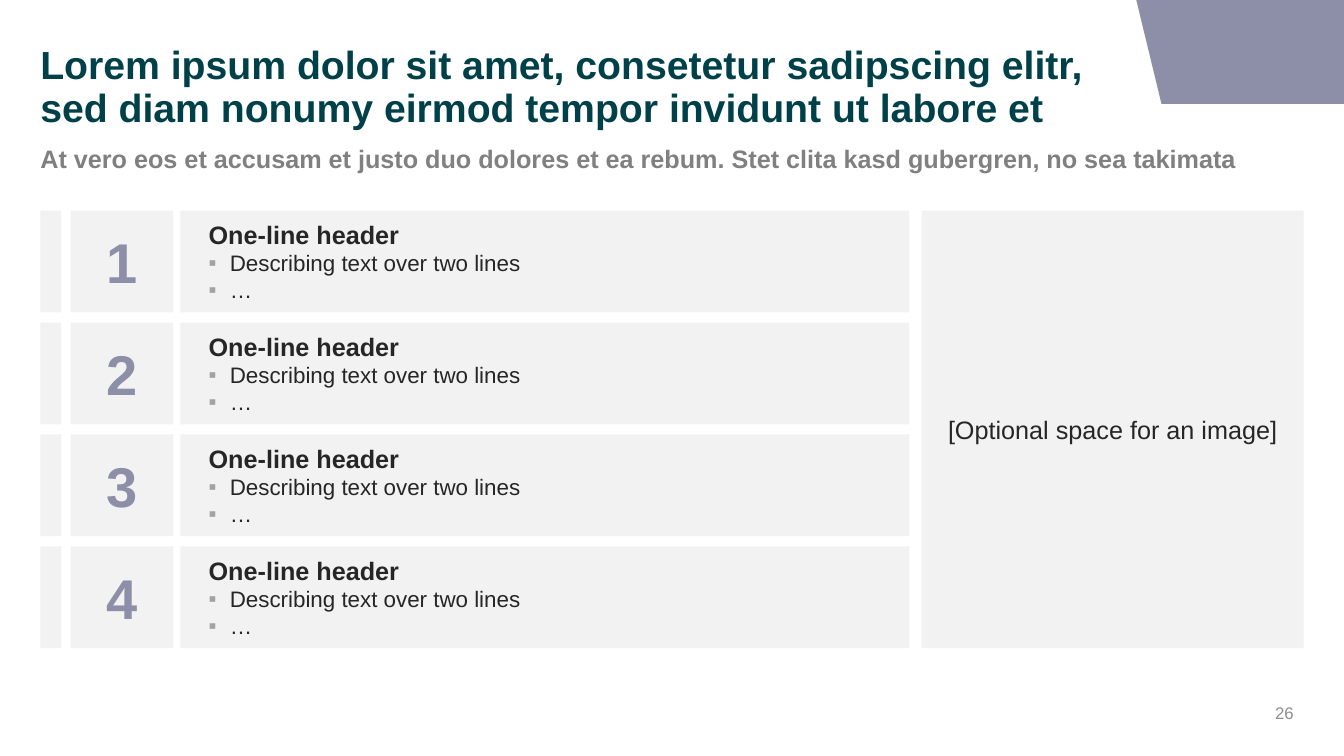
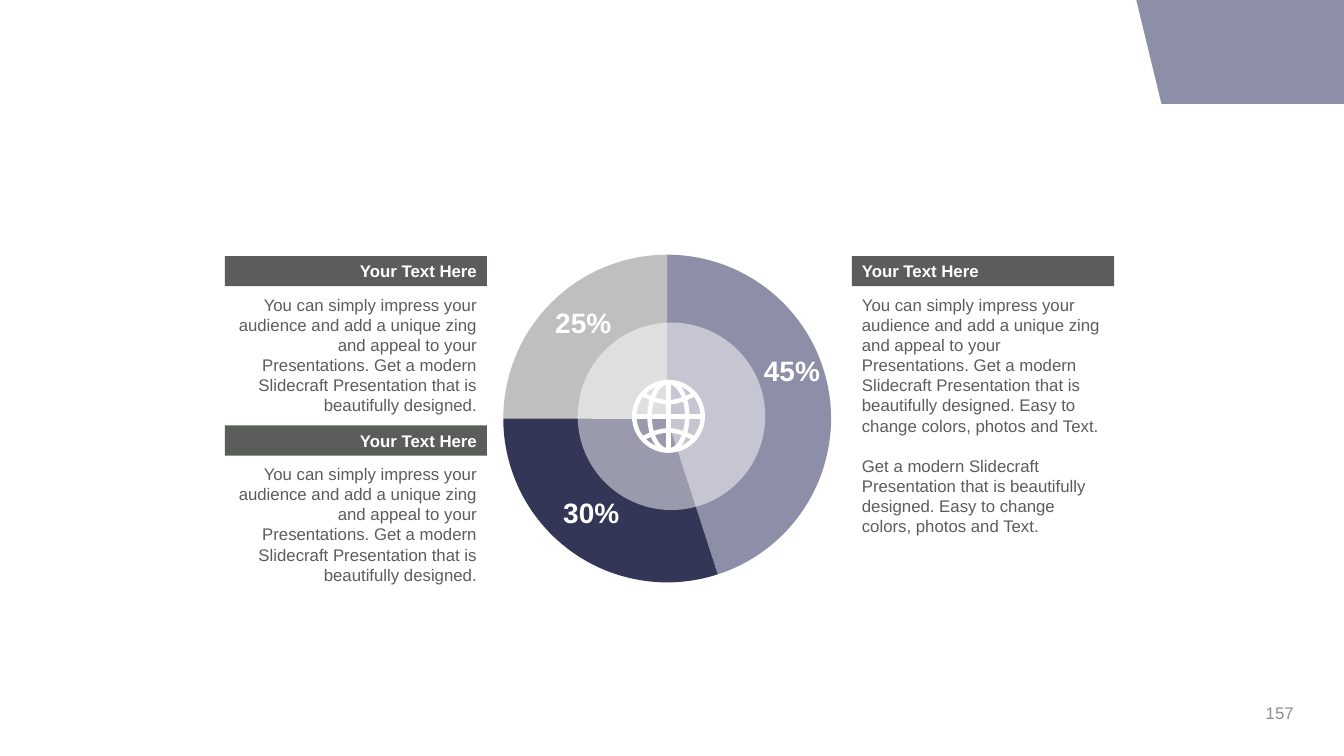
from math import cos, pi

from lxml.etree import SubElement
from pptx import Presentation
from pptx.chart.data import CategoryChartData
from pptx.dml.color import RGBColor
from pptx.enum.chart import XL_CHART_TYPE as Chart
from pptx.enum.shapes import MSO_CONNECTOR as Line, MSO_SHAPE as Shape
from pptx.enum.text import MSO_ANCHOR as Anchor, MSO_AUTO_SIZE as Fit, PP_ALIGN as Align
from pptx.oxml import parse_xml
from pptx.oxml.ns import nsdecls, qn
from pptx.util import Inches, Pt

FONT = "Arial"
WHITE = RGBColor(0xFF, 0xFF, 0xFF)
TEAL = RGBColor(0x00, 0x41, 0x49)
MAUVE = RGBColor(0x8D, 0x8E, 0xA7)
NAVY = RGBColor(0x33, 0x36, 0x57)
SILVER = RGBColor(0xBF, 0xBF, 0xBF)
PALE = RGBColor(0xF2, 0xF2, 0xF2)
INK = RGBColor(0x25, 0x26, 0x25)
SLATE = RGBColor(0x5B, 0x5D, 0x5B)
GRAY = RGBColor(0x80, 0x80, 0x80)
FOOT = RGBColor(0x8E, 0x8E, 0x8E)

TITLE = ("Lorem ipsum dolor sit amet, consetetur sadipscing elitr, "
         "sed diam nonumy eirmod tempor invidunt ut labore et")
SUB = ("At vero eos et accusam et justo duo dolores et ea rebum. "
       "Stet clita kasd gubergren, no sea takimata")
ROWS = [("One-line header", ["Describing text over two lines", "…"])] * 4
SPACE = "[Optional space for an image]"

HEAD = "Your Text Here"
PITCH = ("You can simply impress your audience and add a unique zing and appeal "
         "to your Presentations. Get a modern Slidecraft Presentation that is "
         "beautifully designed.")
EASY = "Easy to change colors, photos and Text."
MORE = f"Get a modern Slidecraft Presentation that is beautifully designed. {EASY}"
# left, top, text height, alignment, paragraphs
CARDS = [
    (8.45, 2.54, 2.52, Align.LEFT, [f"{PITCH} {EASY}", MORE]),
    (2.23, 2.54, 1.31, Align.RIGHT, [PITCH]),
    (2.23, 4.22, 1.31, Align.RIGHT, [PITCH]),
]
# value, colour, label left, label top
PARTS = [(45, MAUVE, 7.42, 3.45), (30, NAVY, 5.43, 4.86), (25, SILVER, 5.35, 2.98)]


def box(*sizes):
    return [Inches(n) for n in sizes]


def style(frame, anchor=Anchor.MIDDLE, pads=(0.1, 0.05, 0.1, 0.05)):
    frame.word_wrap = True
    frame.auto_size = Fit.NONE
    frame.vertical_anchor = anchor
    (frame.margin_left, frame.margin_top,
     frame.margin_right, frame.margin_bottom) = box(*pads)


def write(para, text, size, color, bold=False, align=Align.LEFT):
    para.alignment = align
    run = para.add_run()
    run.text = text
    font = run.font
    font.name, font.size, font.bold = FONT, Pt(size), bold
    font.color.rgb = color


def block(shapes, area, fill, kind=Shape.RECTANGLE):
    item = shapes.add_shape(kind, *box(*area))
    item.shadow.inherit = False
    item.fill.solid()
    item.fill.fore_color.rgb = fill
    item.line.fill.background()
    style(item.text_frame)
    return item


def label(shapes, area, text, size, color, bold=False, align=Align.CENTER):
    frame = shapes.add_textbox(*box(*area)).text_frame
    style(frame)
    write(frame.paragraphs[0], text, size, color, bold, align)


def hold(slide, index, area, text, size, color, anchor):
    """Place and fill one template placeholder."""
    item = slide.placeholders[index]
    item.left, item.top, item.width, item.height = box(*area)
    style(item.text_frame, anchor, (0, 0, 0, 0))
    para = item.text_frame.paragraphs[0]
    props = para._p.get_or_add_pPr()
    props.set("marL", "0")
    props.set("indent", "0")
    SubElement(props, qn("a:buNone"))
    para.space_before = Pt(0)
    write(para, text, size, color, True)
    return para


def bullet(para):
    props = para._p.get_or_add_pPr()
    props.set("marL", str(Inches(0.21)))
    props.set("indent", str(-Inches(0.21)))
    tint = SubElement(props, qn("a:buClr"))
    SubElement(tint, qn("a:srgbClr")).set("val", "A2A2A2")
    SubElement(props, qn("a:buFont")).set("typeface", FONT)
    SubElement(props, qn("a:buChar")).set("char", "▪")
    para.level = 2
    para.line_spacing = 0.9
    para.space_before = Pt(1.8)


def corner(deck, slide):
    """Draw the corner band and move it to the slide master."""
    pen = slide.shapes.build_freeform(*box(13.33, 0))
    pen.add_line_segments([box(*dot) for dot in [(13.33, 1.03), (11.52, 1.03), (11.27, 0)]])
    band = pen.convert_to_shape()
    band.shadow.inherit = False
    band.fill.solid()
    band.fill.fore_color.rgb = MAUVE
    band.line.fill.background()
    deck.slide_master.shapes.element.append(band.element)


def number(slide, text):
    label(slide.shapes, (9.93, 6.95, 3, 0.24), text, 12, FOOT, align=Align.RIGHT)


def agenda(slide):
    para = hold(slide, 0, (0.4, 0.44, 10.87, 0.87), TITLE, 28, TEAL, Anchor.MIDDLE)
    para.line_spacing = 0.9
    hold(slide, 1, (0.4, 1.42, 12.54, 0.34), SUB, 18, GRAY, Anchor.TOP)
    top, high, step = 2.09, 1.01, 1.11
    for i, (head, lines) in enumerate(ROWS):
        y = top + i * step
        block(slide.shapes, (0.4, y, 0.21, high), PALE)
        tile = block(slide.shapes, (0.7, y, 1.02, high), PALE)
        write(tile.text_frame.paragraphs[0], str(i + 1), 40, MAUVE, True, Align.CENTER)
        frame = block(slide.shapes, (1.79, y, 7.23, high), PALE).text_frame
        style(frame, pads=(0.28, 0, 0.1, 0))
        write(frame.paragraphs[0], head, 18, INK, True)
        for line in lines:
            para = frame.add_paragraph()
            bullet(para)
            write(para, line, 16, INK)
    side = block(slide.shapes, (9.14, top, 3.79, 3 * step + high), PALE)
    write(side.text_frame.paragraphs[0], SPACE, 18, INK, align=Align.CENTER)


def pie(slide):
    data = CategoryChartData()
    data.categories = [str(i + 1) for i in range(len(PARTS))]
    data.add_series("Series 1", [part[0] for part in PARTS])
    chart = slide.shapes.add_chart(Chart.PIE, *box(4.72, 2.32, 3.88, 3.63), data).chart
    chart.has_legend = chart.has_title = False
    chart.font.name, chart.font.size = FONT, Pt(18)
    chart.font.color.rgb = INK
    plot = chart.plots[0]
    plot.vary_by_categories = True
    for i, part in enumerate(PARTS):
        look = plot.series[0].points[i].format
        look.fill.solid()
        look.fill.fore_color.rgb = part[1]
        look.line.fill.background()
    area = chart.element.find(".//" + qn("c:plotArea"))
    for old in area.findall(qn("c:layout")):
        area.remove(old)
    spots = "".join(f'<c:{tag} val="{val}"/>' for tag, val in [
        ("layoutTarget", "inner"), ("xMode", "edge"), ("yMode", "edge"),
        ("x", 0.07), ("y", 0.057), ("w", 0.838), ("h", 0.896)])
    area.insert(0, parse_xml(f'<c:layout {nsdecls("c")}><c:manualLayout>{spots}'
                             '</c:manualLayout></c:layout>'))
    for value, _, x, y in PARTS:
        label(slide.shapes, (x, y, 0.87, 0.44), f"{value}%", 20, WHITE, True)
    disc = block(slide.shapes, (5.73, 3.2, 1.86, 1.86), WHITE, Shape.OVAL)
    tint = disc.element.spPr.find(".//" + qn("a:srgbClr"))
    SubElement(tint, qn("a:alpha")).set("val", "50000")


def globe(slide, x, y, rad):
    """Draw a globe of white strokes around the centre x, y."""
    shapes = slide.shapes.add_group_shape().shapes
    strokes = []
    for wide in (rad, rad * 0.55):
        ring = shapes.add_shape(Shape.OVAL, *box(x - wide, y - rad, 2 * wide, 2 * rad))
        strokes.append(ring)
    for dx, dy in [(rad, 0), (0, rad)]:
        bar = shapes.add_connector(Line.STRAIGHT, *box(x - dx, y - dy, x + dx, y + dy))
        SubElement(bar.element.spPr, qn("a:effectLst"))
        bar.line.color.rgb, bar.line.width = WHITE, Pt(3.2)
    for sign in (-1, 1):
        dots = []
        for i in range(-10, 11):
            t = i / 10
            dots.append(box(x + 0.26 * t, y + sign * (0.22 - 0.08 * cos(t * pi / 2))))
        pen = shapes.build_freeform(*dots[0])
        pen.add_line_segments(dots[1:], close=False)
        strokes.append(pen.convert_to_shape())
    for item in strokes:
        item.shadow.inherit = False
        item.fill.background()
        item.line.color.rgb, item.line.width = WHITE, Pt(3.2)


def card(slide, x, y, high, align, texts):
    shapes = slide.shapes.add_group_shape().shapes
    frame = shapes.add_textbox(*box(x, y + 0.33, 2.6, high)).text_frame
    style(frame, Anchor.TOP)
    for i, text in enumerate(texts):
        para = frame.add_paragraph() if i else frame.paragraphs[0]
        if i:
            para.space_before = Pt(14.4)
        write(para, text, 12, SLATE, align=align)
    bar = block(shapes, (x, y, 2.6, 0.3), SLATE)
    write(bar.text_frame.paragraphs[0], HEAD, 12, WHITE, True, align)


def main():
    deck = Presentation()
    deck.slide_width, deck.slide_height = box(13.33, 7.5)
    first = deck.slides.add_slide(deck.slide_layouts[1])
    corner(deck, first)
    agenda(first)
    number(first, "26")
    second = deck.slides.add_slide(deck.slide_layouts[6])
    pie(second)
    globe(second, 6.63, 4.13, 0.34)
    for item in CARDS:
        card(second, *item)
    number(second, "157")
    deck.save("out.pptx")


if __name__ == "__main__":
    main()
